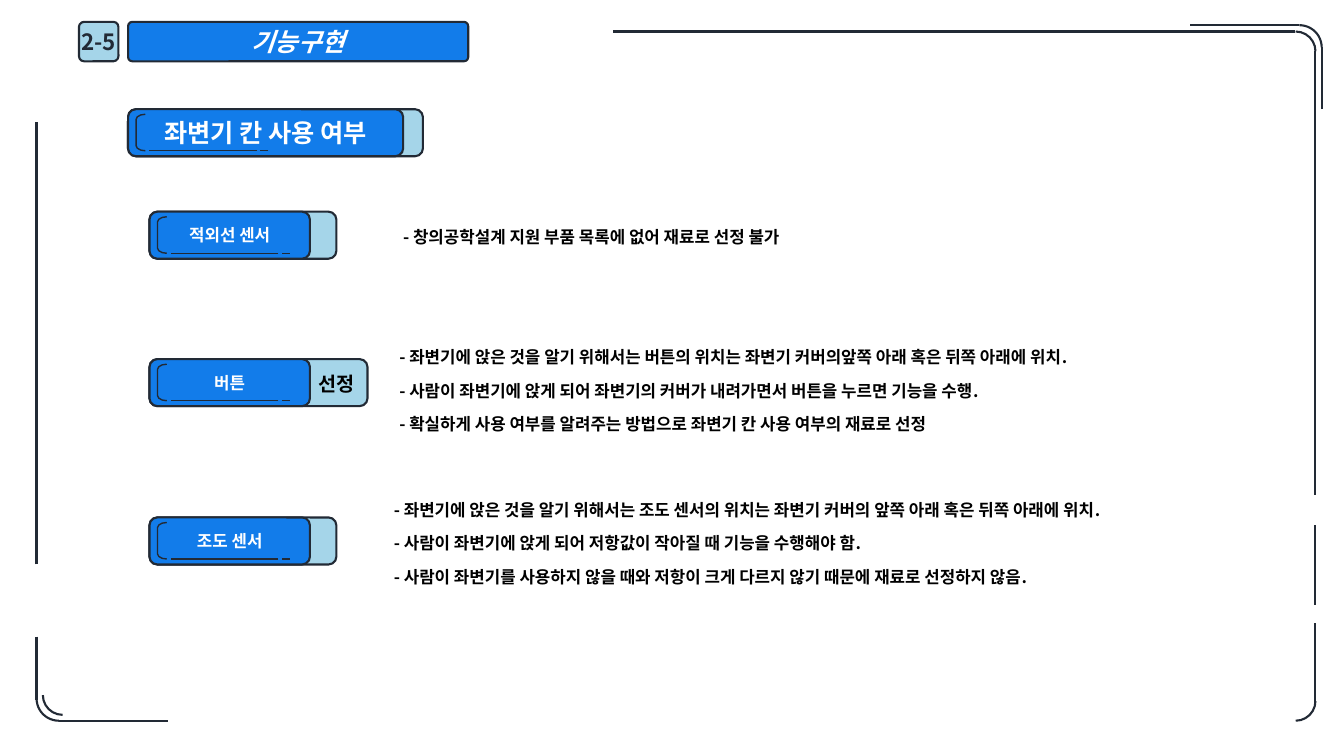
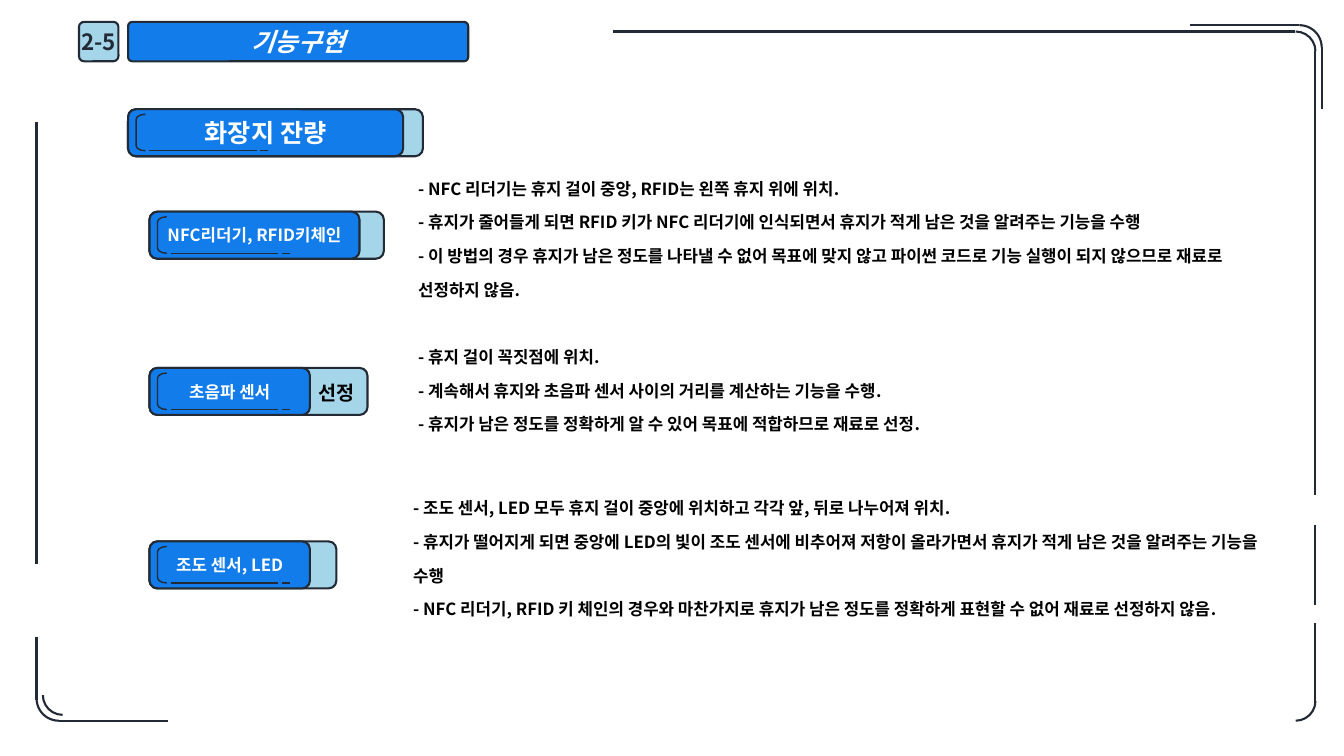
from lxml import etree
from pptx import Presentation
from pptx.dml.color import RGBColor
from pptx.enum.shapes import MSO_CONNECTOR, MSO_SHAPE
from pptx.enum.text import MSO_ANCHOR, MSO_AUTO_SIZE, PP_ALIGN
from pptx.oxml.ns import qn
from pptx.util import Inches, Pt

ROUNDED = MSO_SHAPE.ROUNDED_RECTANGLE
ARC = MSO_SHAPE.ARC
BRACKET = MSO_SHAPE.RIGHT_BRACKET
STRAIGHT = MSO_CONNECTOR.STRAIGHT
CENTER, LEFT = PP_ALIGN.CENTER, PP_ALIGN.LEFT
MIDDLE, TOP = MSO_ANCHOR.MIDDLE, MSO_ANCHOR.TOP

FONT = "Noto Sans CJK KR"
COLORS = {"blue": "127CEA", "sky": "A5D5E9", "ink": "222A35", "white": "FFFFFF", "black": "000000"}

presentation = Presentation()
presentation.slide_width = Inches(13.33)
presentation.slide_height = Inches(7.5)

# The slide is a grid of 160 columns by 90 rows; all lengths below are in cells.
COLUMN = presentation.slide_width / 160
ROW = presentation.slide_height / 90


def add_box(shapes, preset, left, top, width, height, text=(), fill=None, line=1.5, radius=None,
            rotation=0, size=12, color="white", italic=False, align=CENTER, spacing=None, wrap=True):
    """Add a preset shape, or a text box if preset is None, with one paragraph per text line."""
    place = [round(left * COLUMN), round(top * ROW), round(width * COLUMN), round(height * ROW)]
    if preset is None:
        shape = shapes.add_textbox(*place)
    else:
        shape = shapes.add_shape(preset, *place)
        shape.shadow.inherit = False
        shape.rotation = rotation
        shape.line.color.rgb = RGBColor.from_string(COLORS["ink"])
        shape.line.width = Pt(line)
        if fill:
            shape.fill.solid()
            shape.fill.fore_color.rgb = RGBColor.from_string(COLORS[fill])
        else:
            shape.fill.background()
        if radius is not None:
            shape.adjustments[0] = radius
    frame = shape.text_frame
    frame.word_wrap = wrap
    frame.vertical_anchor = MIDDLE if preset is not None else TOP
    if preset is None:
        frame.auto_size = MSO_AUTO_SIZE.SHAPE_TO_FIT_TEXT
    for index, words in enumerate(text):
        paragraph = frame.add_paragraph() if index else frame.paragraphs[0]
        paragraph.alignment = align
        paragraph.line_spacing = spacing
        run = paragraph.add_run()
        run.text = words
        run.font.size = Pt(size)
        run.font.bold = True
        run.font.italic = italic
        run.font.color.rgb = RGBColor.from_string(COLORS[color])
        run.font.name = FONT
        etree.SubElement(run.font._element, qn("a:ea"), typeface=FONT)


def add_line(shapes, x1, y1, x2, y2, width=1.5):
    connector = shapes.add_connector(STRAIGHT, round(x1 * COLUMN), round(y1 * ROW),
                                     round(x2 * COLUMN), round(y2 * ROW))
    connector.line.color.rgb = RGBColor.from_string(COLORS["ink"])
    connector.line.width = Pt(width)
    etree.SubElement(connector._element.spPr, qn("a:effectLst"))


# Decorative frame
EDGE_LEFT, EDGE_RIGHT, EDGE_TOP, EDGE_BOTTOM = 4.35, 156.6, 3.75, 85.8
OUTER_RIGHT, OUTER_TOP = 157.35, 3
SMALL, LARGE = 4.7, 5.3
FRAME_LINES = [
    (154.2, EDGE_TOP, 73, EDGE_TOP),
    (EDGE_RIGHT, 58.9, EDGE_RIGHT, 6.1),
    (EDGE_RIGHT, 72, EDGE_RIGHT, 62.5),
    (EDGE_RIGHT, 83.6, EDGE_RIGHT, 74.2),
    (154.7, OUTER_TOP, 141.7, OUTER_TOP),
    (OUTER_RIGHT, 13, OUTER_RIGHT, 5.6),
    (7, EDGE_BOTTOM, 20, EDGE_BOTTOM),
    (EDGE_LEFT, 75.8, EDGE_LEFT, 83.3),
    (EDGE_LEFT, 67.2, EDGE_LEFT, 14.5),
]
FRAME_ARCS = [  # left, top, size, rotation
    (EDGE_RIGHT - SMALL, EDGE_TOP, SMALL, 0),
    (OUTER_RIGHT - LARGE, OUTER_TOP, LARGE, 0),
    (EDGE_RIGHT - SMALL, EDGE_BOTTOM - SMALL, SMALL, 90),
    (5.1, 80.4, SMALL, 180),
    (EDGE_LEFT, EDGE_BOTTOM - LARGE, LARGE, 180),
]

# Badges
SECTION_LEFT, SECTION_TOP, SECTION_FRONT, SECTION_BACK = 15.25, 13, 32.75, 35.1
ITEM_LEFT, ITEM_FRONT, ITEM_BACK, CHOSEN_BACK = 17.8, 19.1, 22.25, 25.95
BADGE_HEIGHT = 5.6

# Each item: label, badge row, front and back widths, note place (left, top, width, height), note lines
SLIDES = [
    ("좌변기 칸 사용 여부", [
        ("적외선 센서", 25.2, ITEM_FRONT, ITEM_BACK, (46.8, 24.85, 70.4, 4.7), [
            "- 창의공학설계 지원 부품 목록에 없어 재료로 선정 불가",
        ]),
        ("버튼", 42.75, ITEM_FRONT, CHOSEN_BACK, (46.35, 39.1, 105, 12.8), [
            "- 좌변기에 앉은 것을 알기 위해서는 버튼의 위치는 좌변기 커버의앞쪽 아래 혹은 뒤쪽 아래에 위치.",
            "- 사람이 좌변기에 앉게 되어 좌변기의 커버가 내려가면서 버튼을 누르면 기능을 수행.",
            "- 확실하게 사용 여부를 알려주는 방법으로 좌변기 칸 사용 여부의 재료로 선정",
        ]),
        ("조도 센서", 61.6, ITEM_FRONT, ITEM_BACK, (45.7, 57.25, 102.1, 12.8), [
            "- 좌변기에 앉은 것을 알기 위해서는 조도 센서의 위치는 좌변기 커버의 앞쪽 아래 혹은 뒤쪽 아래에 위치.",
            "- 사람이 좌변기에 앉게 되어 저항값이 작아질 때 기능을 수행해야 함.",
            "- 사람이 좌변기를 사용하지 않을 때와 저항이 크게 다르지 않기 때문에 재료로 선정하지 않음.",
        ]),
    ]),
    ("화장지 잔량", [
        ("NFC리더기, RFID키체인", 25.2, 25, 27.9, (48.6, 19.05, 103.6, 16.8), [
            "- NFC 리더기는 휴지 걸이 중앙, RFID는 왼쪽 휴지 위에 위치.",
            "- 휴지가 줄어들게 되면 RFID 키가 NFC 리더기에 인식되면서 휴지가 적게 남은 것을 알려주는 기능을 수행",
            "- 이 방법의 경우 휴지가 남은 정도를 나타낼 수 없어 목표에 맞지 않고 파이썬 코드로 "
            "기능 실행이 되지 않으므로 재료로 선정하지 않음.",
        ]),
        ("초음파 센서", 43.8, ITEM_FRONT, CHOSEN_BACK, (48.6, 39.1, 105, 12.8), [
            "- 휴지 걸이 꼭짓점에 위치.",
            "- 계속해서 휴지와 초음파 센서 사이의 거리를 계산하는 기능을 수행.",
            "- 휴지가 남은 정도를 정확하게 알 수 있어 목표에 적합하므로 재료로 선정.",
        ]),
        ("조도 센서, LED", 64.45, ITEM_FRONT, ITEM_BACK, (48, 57.1, 106.2, 20.9), [
            "- 조도 센서, LED 모두 휴지 걸이 중앙에 위치하고 각각 앞, 뒤로 나누어져 위치.",
            "- 휴지가 떨어지게 되면 중앙에 LED의 빛이 조도 센서에 비추어져 저항이 올라가면서 "
            "휴지가 적게 남은 것을 알려주는 기능을 수행",
            "- NFC 리더기, RFID 키 체인의 경우와 마찬가지로 휴지가 남은 정도를 정확하게 "
            "표현할 수 없어 재료로 선정하지 않음.",
        ]),
    ]),
]

for section, items in SLIDES:
    slide = presentation.slides.add_slide(presentation.slide_layouts[6])
    shapes = slide.shapes

    add_box(shapes, ROUNDED, 15.25, 2.6, 40.5, 4.7, ["기능구현"],
            fill="blue", radius=0.11, size=18, italic=True)
    add_box(shapes, ROUNDED, 9.4, 2.6, 4.7, 4.7, ["2-5"],
            fill="sky", radius=0.13, size=16, color="ink", wrap=False)

    frame_shapes = shapes.add_group_shape().shapes
    for ends in FRAME_LINES:
        add_line(frame_shapes, *ends)
    for left, top, size, rotation in FRAME_ARCS:
        add_box(frame_shapes, ARC, left, top, size, size, rotation=rotation)

    badges = [(section, SECTION_LEFT, SECTION_TOP, SECTION_FRONT, SECTION_BACK, 18)]
    badges += [(label, ITEM_LEFT, top, front, back, 12) for label, top, front, back, *_ in items]
    for label, left, top, front, back, size in badges:
        add_box(shapes, ROUNDED, left, top, back, BADGE_HEIGHT, fill="sky")
        add_box(shapes, ROUNDED, left, top, front, BADGE_HEIGHT, [label], fill="blue", size=size)
        accent_shapes = shapes.add_group_shape().shapes
        add_box(accent_shapes, BRACKET, left + 0.95, top + 0.6, 1.1, 4.35,
                line=1, radius=0.56, rotation=180)
        for start, end in [(2.55, 15.35), (15.75, 16.7)]:
            add_line(accent_shapes, left + end, top + 4.95, left + start, top + 4.95, width=1)

    for label, top, front, back, note_place, note in items:
        add_box(shapes, None, *note_place, note, color="black", align=LEFT, spacing=1.67)
        if back == CHOSEN_BACK:
            add_box(shapes, None, ITEM_LEFT + front - 0.2, top + 0.95, 8, 4.1, ["선정"],
                    size=14, color="black", align=LEFT)

presentation.save("out.pptx")
